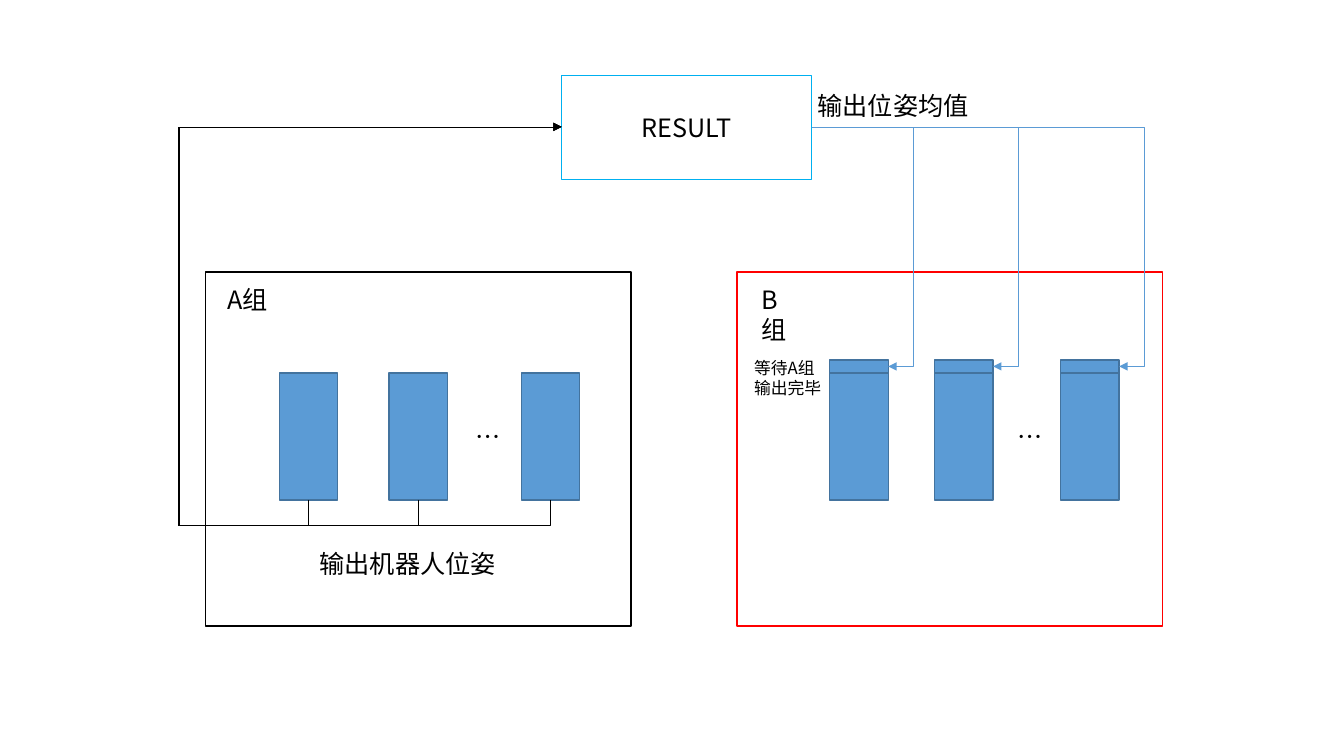
"""Draw the flow of poses from group A through the result to group B."""
from dataclasses import dataclass

import pptx
import pptx.dml.color
import pptx.enum.shapes
import pptx.enum.text
import pptx.oxml
import pptx.oxml.ns
import pptx.util
from pptx.util import Inches

RGBColor = pptx.dml.color.RGBColor
BLACK = RGBColor(0x00, 0x00, 0x00)
RED = RGBColor(0xFF, 0x00, 0x00)
CYAN = RGBColor(0x00, 0xB0, 0xF0)
BLUE = RGBColor(0x5B, 0x9B, 0xD5)
NAVY = RGBColor(0x43, 0x73, 0x9E)
FONT = "Noto Sans CJK SC"
qn = pptx.oxml.ns.qn


@dataclass
class Box:
    left: float
    top: float
    width: float
    height: float
    line: RGBColor
    fill: RGBColor | None = None


@dataclass
class Label:
    text: str
    left: float
    top: float
    width: float
    height: float = 0.4
    size: int = 18


BAR_W, BAR_H, BAR_TOP, CAP_H = 0.58, 1.26, 3.7, 0.13
BARS_A = (2.77, 3.86, 5.17)
BARS_B = (8.23, 9.27, 10.52)
RESULT = Box(5.57, 0.75, 2.48, 1.03, CYAN)
FLOW_Y = 1.26
RAIL_X, RAIL_Y = 1.77, 5.21
TURN = 0.25

GROUPS = (Box(2.04, 2.7, 4.22, 3.51, BLACK), Box(7.31, 2.7, 4.22, 3.51, RED))
LABELS = (
    Label("A组", 2.16, 2.77, 0.6),
    Label("B组", 7.45, 2.77, 0.59),
    Label("…", 4.62, 4.13, 0.38),
    Label("…", 9.99, 4.13, 0.38),
    Label("输出机器人位姿", 3.07, 5.39, 1.99),
    Label("输出位姿均值", 8.01, 0.85, 1.72),
    Label("等待A组\n输出完毕", 7.38, 3.5, 0.88, 0.5, 12),
)


def style(frame: pptx.text.text.TextFrame, size: int) -> None:
    for para in frame.paragraphs:
        font = para.font
        font.size, font.name = pptx.util.Pt(size), FONT
        font.color.rgb = BLACK
        props = para._p.pPr.find(qn("a:defRPr"))
        pptx.oxml.ns.qn("a:ea")
        east = props.makeelement(qn("a:ea"), {"typeface": FONT})
        props.find(qn("a:latin")).addnext(east)


def draw_box(slide: pptx.slide.Slide, box: Box) -> pptx.shapes.autoshape.Shape:
    shape = slide.shapes.add_shape(
        pptx.enum.shapes.MSO_SHAPE.RECTANGLE,
        Inches(box.left), Inches(box.top), Inches(box.width), Inches(box.height))
    shape.shadow.inherit = False
    shape.line.color.rgb = box.line
    shape.line.width = pptx.util.Pt(1)
    if box.fill is None:
        shape.fill.background()
    else:
        shape.fill.solid()
        shape.fill.fore_color.rgb = box.fill
    return shape


def draw_label(slide: pptx.slide.Slide, label: Label) -> None:
    text = slide.shapes.add_textbox(
        Inches(label.left), Inches(label.top),
        Inches(label.width), Inches(label.height))
    frame = text.text_frame
    frame.word_wrap = True
    frame.text = label.text
    style(frame, label.size)


def draw_elbow(slide: pptx.slide.Slide, start: tuple[float, float],
               end: tuple[float, float], color: RGBColor,
               bends: dict[str, float]) -> pptx.shapes.connector.Connector:
    link = slide.shapes.add_connector(
        pptx.enum.shapes.MSO_CONNECTOR.ELBOW,
        *(Inches(value) for value in (*start, *end)))
    link.line.color.rgb = color
    link.line.width = pptx.util.Pt(0.5)
    props = link._element.spPr
    line = props.find(qn("a:ln"))
    line.append(line.makeelement(qn("a:tailEnd"), {"type": "triangle"}))
    props.append(props.makeelement(qn("a:effectLst"), {}))
    shape = props.find(qn("a:prstGeom"))
    guides = shape.find(qn("a:avLst"))
    for name, ratio in bends.items():
        guides.append(guides.makeelement(
            qn("a:gd"), {"name": name, "fmla": f"val {round(ratio * 100000)}"}))
    return link


def draw_output(slide: pptx.slide.Slide, left: float) -> None:
    mid, foot = left + BAR_W / 2, BAR_TOP + BAR_H
    across, rise = RESULT.left - mid, foot - FLOW_Y
    cx, cy = (mid + RESULT.left) / 2, (foot + FLOW_Y) / 2
    bends = {"adj1": (foot - RAIL_Y) / rise, "adj2": (RAIL_X - mid) / across}
    link = draw_elbow(slide, (cx + rise / 2, cy + across / 2),
                      (cx - rise / 2, cy - across / 2), BLACK, bends)
    props = link._element.spPr
    props.find(qn("a:xfrm")).set("rot", "5400000")
    props.find(qn("a:prstGeom")).set("prst", "bentConnector4")


def draw_input(slide: pptx.slide.Slide, left: float) -> None:
    start, end = RESULT.left + RESULT.width, left + BAR_W
    bends = {"adj1": 1 + TURN / (end - start)}
    draw_elbow(slide, (start, FLOW_Y), (end, BAR_TOP - CAP_H / 2), BLUE, bends)


def main() -> None:
    deck = pptx.Presentation()
    deck.slide_width, deck.slide_height = Inches(13.33), Inches(7.5)
    slide = deck.slides.add_slide(deck.slide_layouts[6])
    for group in GROUPS:
        draw_box(slide, group)
    frame = draw_box(slide, RESULT).text_frame
    frame.text = "RESULT"
    frame.vertical_anchor = pptx.enum.text.MSO_ANCHOR.MIDDLE
    frame.paragraphs[0].alignment = pptx.enum.text.PP_ALIGN.CENTER
    style(frame, 18)
    for left in BARS_A + BARS_B:
        draw_box(slide, Box(left, BAR_TOP, BAR_W, BAR_H, NAVY, BLUE))
    for left in BARS_B:
        draw_box(slide, Box(left, BAR_TOP - CAP_H, BAR_W, CAP_H, NAVY, BLUE))
    for left in BARS_A:
        draw_output(slide, left)
    for left in BARS_B:
        draw_input(slide, left)
    for label in LABELS:
        draw_label(slide, label)
    deck.save("out.pptx")


if __name__ == "__main__":
    main()
